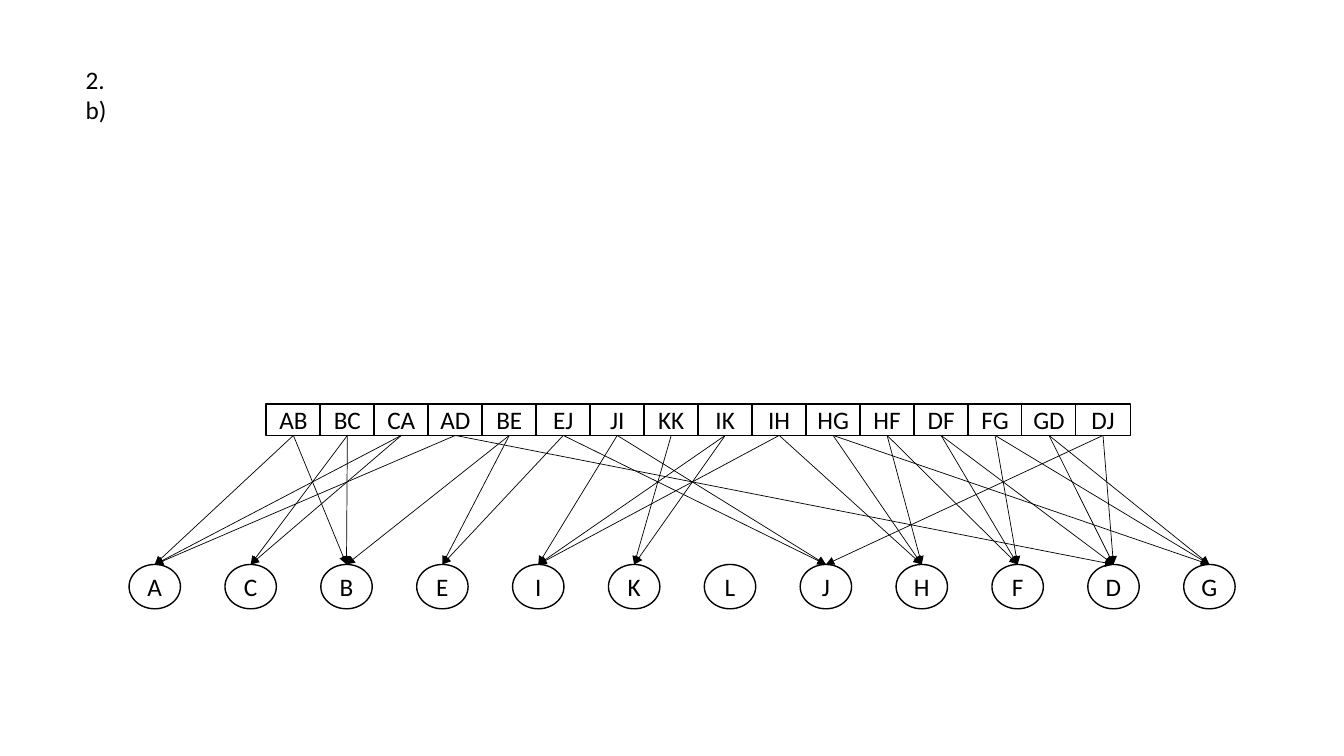
from lxml.etree import SubElement
from pptx import Presentation
from pptx.dml.color import RGBColor
from pptx.enum.shapes import MSO_CONNECTOR, MSO_SHAPE
from pptx.enum.text import MSO_ANCHOR, MSO_AUTO_SIZE, PP_ALIGN
from pptx.oxml.ns import qn
from pptx.util import Inches, Pt

TITLE = "2. b)"
EDGES = "AB BC CA AD BE EJ JI KK IK IH HG HF DF FG GD DJ".split()
VERTICES = "ACBEIKLJHFDG"
BLACK, WHITE = "000000", "FFFFFF"

EDGE_LEFT, EDGE_TOP, EDGE_W, EDGE_H = 2.64, 4.01, 0.54, 0.31
EDGE_STEP = (10.67 - EDGE_LEFT) / (len(EDGES) - 1)
VERTEX_LEFT, VERTEX_TOP, VERTEX_W, VERTEX_H = 1.28, 5.6, 0.51, 0.44
VERTEX_STEP = (11.74 - VERTEX_LEFT) / (len(VERTICES) - 1)


def color(value):
    """Turn a hex string into a colour."""
    return RGBColor.from_string(value)


def set_text(sp, text, align, anchor):
    """Write one formatted paragraph into a shape."""
    tf = sp.text_frame
    tf.text = text
    tf.auto_size = MSO_AUTO_SIZE.NONE
    tf.vertical_anchor = anchor
    p = tf.paragraphs[0]
    p.alignment = align
    p.font.size = Pt(18)
    p.font.name = "Calibri"
    p.font.color.rgb = color(BLACK)
    return tf


def add_node(kind, text, left, top, width, height):
    """Add an outlined shape with a centred label."""
    sp = s.shapes.add_shape(kind, *map(Inches, (left, top, width, height)))
    sp.shadow.inherit = False
    sp.fill.solid()
    sp.fill.fore_color.rgb = color(WHITE)
    sp.line.color.rgb = color(BLACK)
    sp.line.width = Pt(1)
    tf = set_text(sp, text, PP_ALIGN.CENTER, MSO_ANCHOR.MIDDLE)
    tf.word_wrap = False
    tf.margin_left = tf.margin_right = tf.margin_top = tf.margin_bottom = 0
    return sp


def add_arrow(edge, vertex):
    """Connect the bottom of an edge cell to the top of a vertex."""
    line = s.shapes.add_connector(MSO_CONNECTOR.STRAIGHT, 0, 0, 0, 0)
    line.begin_connect(edge, 2)
    line.end_connect(vertex, 0)
    line.line.color.rgb = color(BLACK)
    line.line.width = Pt(0.5)
    SubElement(line.line._get_or_add_ln(), qn("a:tailEnd"), type="triangle")
    SubElement(line._element.spPr, qn("a:effectLst"))


prs = Presentation()
prs.slide_width, prs.slide_height = Inches(13.33), Inches(7.5)
s = prs.slides.add_slide(prs.slide_layouts[5])

title = s.shapes.title
title.left, title.top, title.width, title.height = map(Inches, (0.75, 0.59, 0.54, 0.71))
set_text(title, TITLE, PP_ALIGN.LEFT, MSO_ANCHOR.TOP).word_wrap = True

vertices = {
    name: add_node(MSO_SHAPE.OVAL, name, VERTEX_LEFT + i * VERTEX_STEP,
                   VERTEX_TOP, VERTEX_W, VERTEX_H)
    for i, name in enumerate(VERTICES)
}
edges = {
    name: add_node(MSO_SHAPE.RECTANGLE, name, EDGE_LEFT + i * EDGE_STEP,
                   EDGE_TOP, EDGE_W, EDGE_H)
    for i, name in enumerate(EDGES)
}
for name, edge in edges.items():
    for end in dict.fromkeys(name):
        add_arrow(edge, vertices[end])

prs.save("out.pptx")
